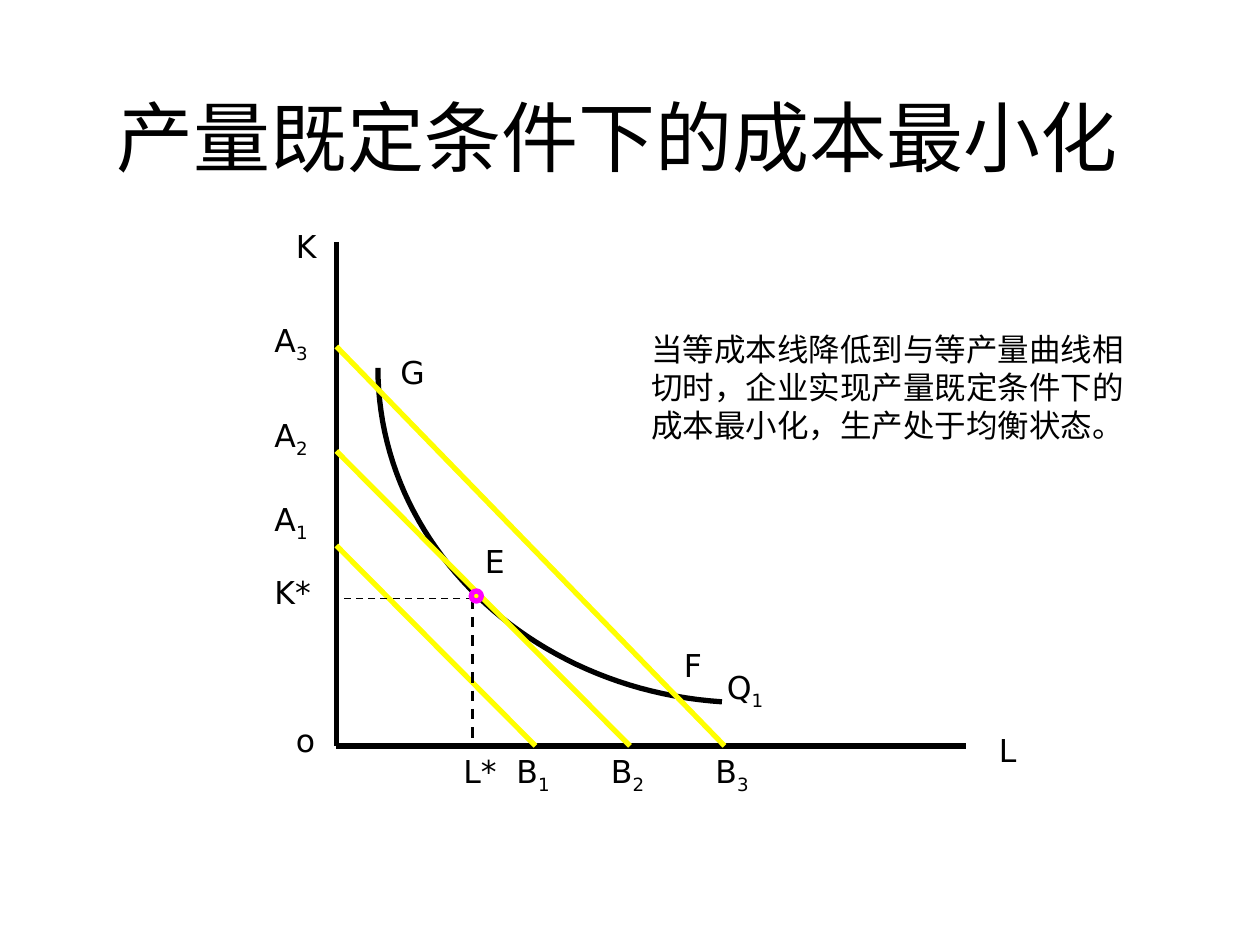
from dataclasses import dataclass

from lxml import etree
from pptx import Presentation
from pptx.dml.color import RGBColor
from pptx.enum.dml import MSO_LINE
from pptx.enum.shapes import MSO_CONNECTOR, MSO_SHAPE
from pptx.enum.text import MSO_ANCHOR, MSO_AUTO_SIZE, PP_ALIGN
from pptx.oxml.ns import qn
from pptx.util import Inches, Pt

STRAIGHT = MSO_CONNECTOR.STRAIGHT
OVAL = MSO_SHAPE.OVAL
DASH = MSO_LINE.DASH
LEFT = PP_ALIGN.LEFT
MIDDLE = MSO_ANCHOR.MIDDLE
NO_FIT = MSO_AUTO_SIZE.NONE
GROW = MSO_AUTO_SIZE.SHAPE_TO_FIT_TEXT
TITLE_ONLY = 5


@dataclass(frozen=True)
class Theme:
    ink: RGBColor = RGBColor(0, 0, 0)
    isocost: RGBColor = RGBColor(255, 255, 0)
    equilibrium: RGBColor = RGBColor(255, 0, 255)
    text_font: str = "Calibri"
    label_font: str = "DejaVu Sans"
    title_size: int = 44
    text_size: int = 18
    line_width: float = 3


class SlideBuilder:
    def __init__(self, slide, theme):
        self.slide = slide
        self.theme = theme

    def add_run(self, paragraph, text, font_name, size):
        run = paragraph.add_run()
        run.text = text
        run.font.name = font_name
        run.font.size = Pt(size)
        run.font.color.rgb = self.theme.ink
        return run

    def title(self, text, left, top, width, height):
        shape = self.slide.shapes.title
        shape.left, shape.top = Inches(left), Inches(top)
        shape.width, shape.height = Inches(width), Inches(height)
        frame = shape.text_frame
        frame.auto_size = NO_FIT
        frame.vertical_anchor = MIDDLE
        paragraph = frame.paragraphs[0]
        paragraph.alignment = LEFT
        paragraph.line_spacing = 0.9
        self.add_run(paragraph, text, self.theme.text_font, self.theme.title_size)

    def text_box(self, text, left, top, width, height, font_name):
        shape = self.slide.shapes.add_textbox(
            Inches(left), Inches(top), Inches(width), Inches(height))
        frame = shape.text_frame
        frame.word_wrap = True
        frame.auto_size = GROW
        paragraph = frame.paragraphs[0]
        self.add_run(paragraph, text, font_name, self.theme.text_size)
        return paragraph

    def label(self, text, left, top, subscript="", width=0.92):
        font_name = self.theme.label_font
        paragraph = self.text_box(text, left, top, width, 0.5, font_name)
        if subscript:
            run = self.add_run(paragraph, subscript, font_name, self.theme.text_size)
            run.font._element.set("baseline", "-25000")

    def line(self, start, end, color, width, dash=None):
        connector = self.slide.shapes.add_connector(
            STRAIGHT, *(Inches(value) for value in (*start, *end)))
        connector.line.color.rgb = color
        connector.line.width = Pt(width)
        if dash:
            connector.line.dash_style = dash
        etree.SubElement(connector._element.spPr, qn("a:effectLst"))

    def curve(self, controls, steps=48):
        points = []
        for step in range(steps + 1):
            t = step / steps
            weights = ((1 - t) ** 3, 3 * t * (1 - t) ** 2, 3 * t ** 2 * (1 - t), t ** 3)
            points.append(tuple(
                Inches(sum(weight * value for weight, value in zip(weights, axis)))
                for axis in zip(*controls)))
        builder = self.slide.shapes.build_freeform(*points[0])
        builder.add_line_segments(points[1:], close=False)
        shape = builder.convert_to_shape()
        shape.shadow.inherit = False
        shape.fill.background()
        shape.line.color.rgb = self.theme.ink
        shape.line.width = Pt(self.theme.line_width)

    def point(self, left, top, size):
        shape = self.slide.shapes.add_shape(
            OVAL, Inches(left), Inches(top), Inches(size), Inches(size))
        shape.shadow.inherit = False
        shape.fill.solid()
        shape.fill.fore_color.rgb = self.theme.isocost
        shape.line.color.rgb = self.theme.equilibrium
        shape.line.width = Pt(self.theme.line_width)


def main():
    presentation = Presentation()
    presentation.slide_width = Inches(10)
    presentation.slide_height = Inches(7.5)
    slide = presentation.slides.add_slide(presentation.slide_layouts[TITLE_ONLY])
    theme = Theme()
    builder = SlideBuilder(slide, theme)

    builder.title(" 产量既定条件下的成本最小化", 0.69, 0.4, 8.62, 1.45)

    origin_x, origin_y = 2.67, 5.92
    origin = (origin_x, origin_y)
    for start, end in (((origin_x, 1.92), origin), (origin, (7.67, origin_y))):
        builder.line(start, end, theme.ink, theme.line_width)
    builder.curve(((5.73, 5.57), (4.2, 5.47), (3, 4.32), (3, 2.92)))

    isocosts = (
        ("3", 2.75, 5.75, 2.5, 5.58),
        ("2", 3.58, 5, 3.25, 4.75),
        ("1", 4.33, 4.25, 3.92, 4),
    )
    for number, capital, labor, label_top, label_left in isocosts:
        builder.line((origin_x, capital), (labor, origin_y), theme.isocost, theme.line_width)
        builder.label("A", 2.08, label_top, number)
        builder.label("B", label_left, origin_y, number)

    tangency = (3.75, 4.75)
    builder.line(tangency, (origin_x, tangency[1]), theme.ink, 1, DASH)
    builder.line(tangency, (tangency[0], origin_y), theme.ink, 1.5, DASH)
    builder.point(3.74, 4.69, 0.08)

    labels = (
        ("K", 2.25, 1.75),
        ("o", 2.25, 5.67),
        ("L", 7.83, 5.75),
        ("G", 3.08, 2.75),
        ("E", 3.75, 4.25),
        ("F", 5.33, 5.08),
        ("K*", 2.08, 4.5),
        ("L*", 3.58, origin_y),
    )
    for text, left, top in labels:
        builder.label(text, left, top)
    builder.label("Q", 5.67, 5.25, "1", width=1.17)

    builder.text_box(
        "当等成本线降低到与等产量曲线相切时，企业实现产量既定条件下的成本最小化，生产处于均衡状态。",
        5.07, 2.57, 4.07, 1.01, theme.text_font)

    presentation.save("out.pptx")


if __name__ == "__main__":
    main()
